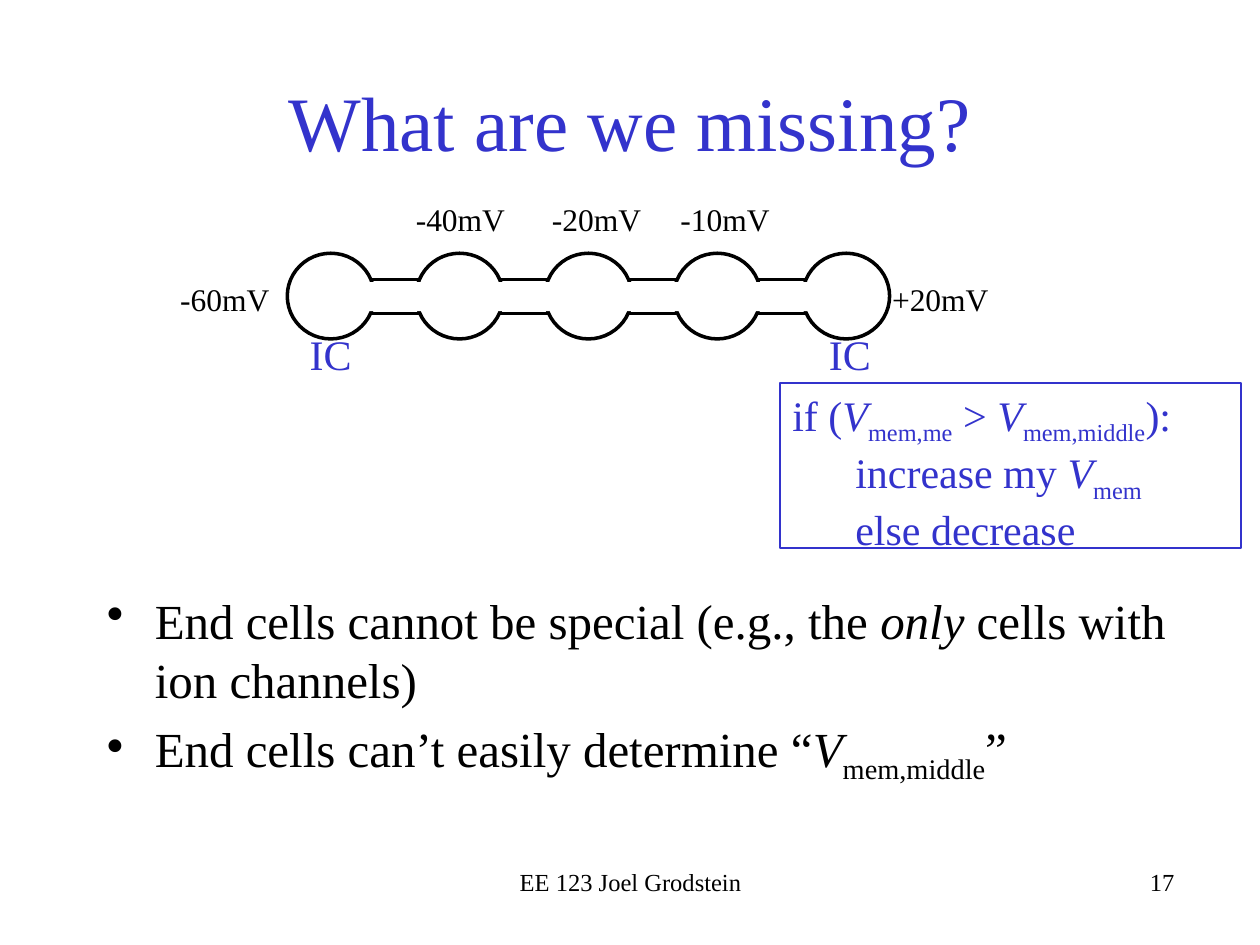
from dataclasses import dataclass

from lxml import etree
from pptx import Presentation
from pptx import util as u
from pptx.dml import color
from pptx.enum import shapes, text
from pptx.oxml import ns

BLUE, BLACK, WHITE = "3333CC", "000000", "FFFFFF"
FONT = "Times New Roman"
LEFT, MID, RIGHT = text.PP_ALIGN.LEFT, text.PP_ALIGN.CENTER, text.PP_ALIGN.RIGHT
RECT, OVAL = shapes.MSO_SHAPE.RECTANGLE, shapes.MSO_SHAPE.OVAL


@dataclass
class Run:
    """A piece of text with its style."""
    text: str
    ital: bool = False
    sub: bool = False


@dataclass
class Para:
    """A paragraph of runs with its layout."""
    runs: list
    left: float = 0
    hang: float = 0
    gap: float = 0
    mark: str = ""


@dataclass
class Label:
    """A short text at a place."""
    text: str
    x: float
    y: float
    w: float


def rgb(code: str) -> color.RGBColor:
    """Turn a hex string into a colour."""
    return color.RGBColor.from_string(code)


def volt(name: str) -> list:
    """Return the symbol V with a subscript."""
    return [Run("V", ital=True), Run(name, sub=True)]


def write(shape, paras, size=18, tone=BLACK, align=LEFT,
          anchor=text.MSO_ANCHOR.TOP, inset=True, wrap=True) -> None:
    """Fill a shape with formatted text."""
    frame = shape.text_frame
    frame.word_wrap = wrap
    frame.vertical_anchor = anchor
    if not inset:
        frame.margin_left = frame.margin_right = 0
        frame.margin_top = frame.margin_bottom = 0
    if isinstance(paras, str):
        paras = [Para([Run(paras)])]
    for i, item in enumerate(paras):
        para = frame.paragraphs[0] if i == 0 else frame.add_paragraph()
        props = para._p.get_or_add_pPr()
        props.set("marL", str(u.Inches(item.left)))
        props.set("indent", str(u.Inches(item.hang)))
        if item.mark:
            etree.SubElement(props, ns.qn("a:buChar"), char=item.mark)
        para.alignment = align
        para.space_before = u.Pt(item.gap)
        for part in item.runs:
            run = para.add_run()
            run.text = part.text
            run.font.name = FONT
            run.font.size = u.Pt(size)
            run.font.italic = part.ital
            run.font.color.rgb = rgb(tone)
            if part.sub:
                run._r.get_or_add_rPr().set("baseline", "-25000")


def place(slide, x: float, y: float, w: float, h: float):
    """Add an empty text box."""
    return slide.shapes.add_textbox(*map(u.Inches, (x, y, w, h)))


def draw(slide, kind, x: float, y: float, w: float, h: float,
         fill: str = "", line: str = "", width: float = 2):
    """Add a plain shape."""
    shape = slide.shapes.add_shape(kind, *map(u.Inches, (x, y, w, h)))
    shape.shadow.inherit = False
    if fill:
        shape.fill.solid()
        shape.fill.fore_color.rgb = rgb(fill)
    else:
        shape.fill.background()
    if line:
        shape.line.color.rgb = rgb(line)
        shape.line.width = u.Pt(width)
    else:
        shape.line.fill.background()
    return shape


def cells(slide) -> None:
    """Draw the chain of joined cells and its labels."""
    first, last, count = 2.28, 6.37, 5
    step = (last - first) / (count - 1)
    draw(slide, RECT, 2.77, 2.22, 3.98, 0.27, WHITE, BLACK)
    for i in range(count):
        draw(slide, OVAL, first + i * step, 2.01, 0.69, 0.68, WHITE, BLACK)
    draw(slide, RECT, 2.73, 2.24, 4.05, 0.23, WHITE)
    labels = [Label("-60mV", 1.43, 2.22, 0.72), Label("-40mV", 3.3, 1.59, 0.72),
              Label("-20mV", 4.38, 1.59, 0.72), Label("-10mV", 5.4, 1.59, 0.72),
              Label("+20mV", 7.08, 2.22, 0.77)]
    for label in labels:
        write(place(slide, label.x, label.y, label.w, 0.3), label.text,
              anchor=text.MSO_ANCHOR.MIDDLE, inset=False, wrap=False)
    for x in (2.36, 6.48):
        write(place(slide, x, 2.56, 0.61, 0.5), "IC", size=24, tone=BLUE)


def main() -> None:
    """Build and save the slide."""
    deck = Presentation()
    deck.slide_width, deck.slide_height = u.Inches(10), u.Inches(7.5)
    slide = deck.slides.add_slide(deck.slide_layouts[6])
    write(place(slide, 0.75, 0.33, 8.5, 1.25), "What are we missing?",
          size=44, tone=BLUE, align=MID, anchor=text.MSO_ANCHOR.MIDDLE)
    cells(slide)
    rule = draw(slide, RECT, 6.19, 3.04, 3.66, 1.31, line=BLUE, width=0.75)
    write(rule, [
        Para([Run("if ("), *volt("mem,me"), Run(" > "),
              *volt("mem,middle"), Run("):")]),
        Para([Run("increase my "), *volt("mem")], left=0.5),
        Para([Run("else decrease")], left=0.5),
    ], size=24, tone=BLUE)
    points = [
        [Run("End cells cannot be special (e.g., the "),
         Run("only", ital=True), Run(" cells with ion channels)")],
        [Run("End cells can’t easily determine “"),
         *volt("mem,middle"), Run("”")],
    ]
    write(place(slide, 0.75, 4.64, 8.91, 2.03),
          [Para(runs, 0.38, -0.38, 5.6 if i else 0, "•")
           for i, runs in enumerate(points)], size=28)
    write(place(slide, 3.42, 6.83, 3.17, 0.34), "EE 123 Joel Grodstein",
          size=14, align=MID)
    write(place(slide, 6.25, 6.83, 3.17, 0.5), "17", size=14, align=RIGHT)
    deck.save("out.pptx")


if __name__ == "__main__":
    main()
